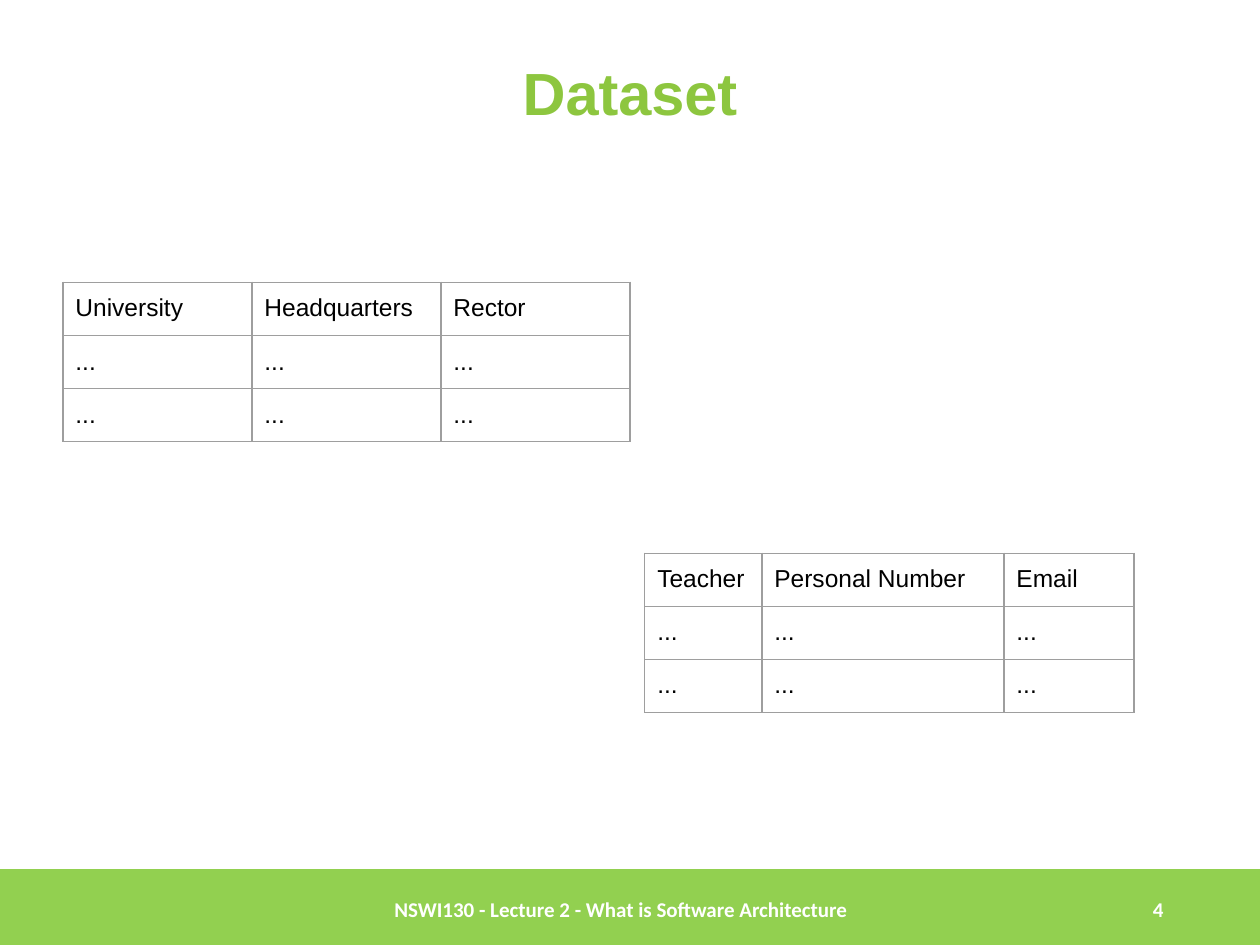
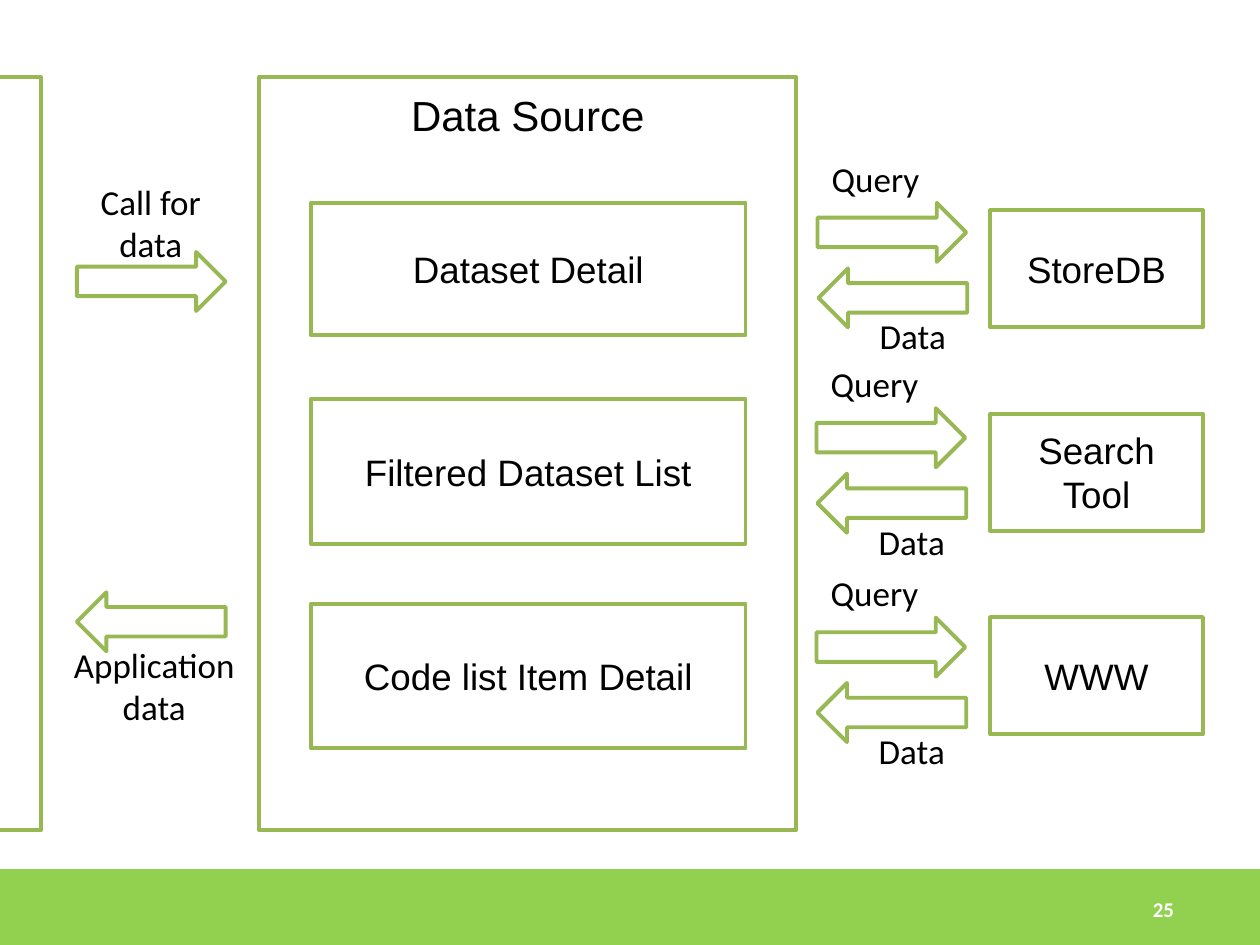
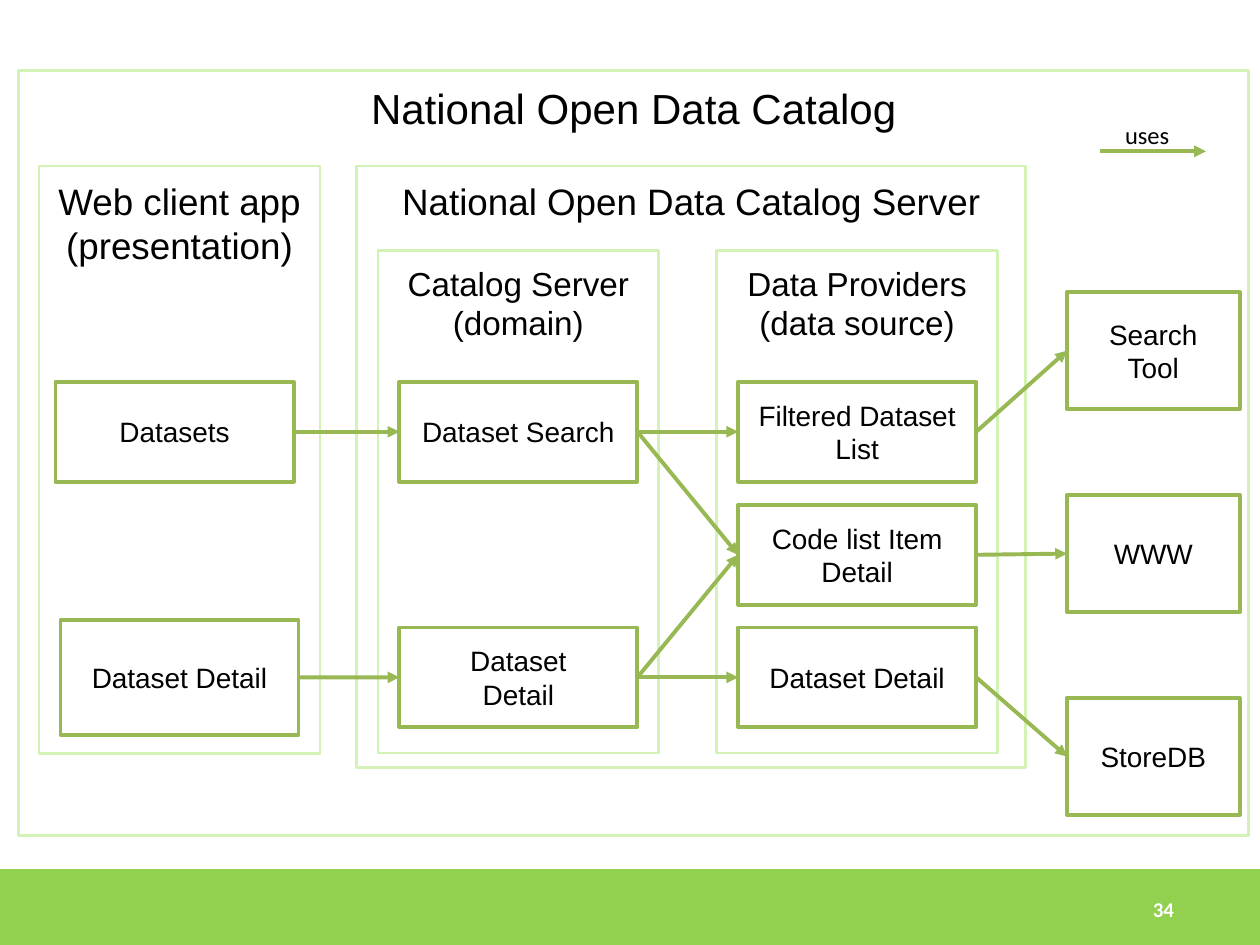
from dataclasses import dataclass

from lxml import etree
from pptx import Presentation
from pptx import util as u
from pptx.dml.color import RGBColor
from pptx.enum import shapes, text
from pptx.oxml import ns

Cm = u.Cm
Kind = shapes.MSO_SHAPE
Mid, Top = text.MSO_ANCHOR.MIDDLE, text.MSO_ANCHOR.TOP
Left, Center = text.PP_ALIGN.LEFT, text.PP_ALIGN.CENTER


@dataclass(frozen=True)
class Theme:
    band: str = "92D050"
    title: str = "8DC63F"
    edge: str = "97B853"
    pale: str = "D3F2B6"
    grid: str = "9E9E9E"
    ink: str = "000000"
    white: str = "FFFFFF"
    head: str = "Arial"
    note: str = "Calibri"
    huge: int = 34
    large: int = 24
    big: int = 21
    label: int = 20
    sub: int = 19
    node: int = 16
    small: int = 14
    foot: int = 12
    thick: float = 2.25
    thin: float = 1.5
    hair: float = 0.75
    pad: float = 0.25


class Deck:
    """Holds the theme and the slide being filled."""

    def __init__(self, theme):
        self.theme = theme
        self.prs = Presentation()
        self.prs.slide_width, self.prs.slide_height = Cm(25.4), Cm(19.05)
        self.slide = None

    def page(self, number, title=None, footer=None):
        t = self.theme
        layout = self.prs.slide_layouts[5 if title else 6]
        self.slide = self.prs.slides.add_slide(layout)
        band = self.shape(Kind.RECTANGLE, (0, 17.52, 25.4, 1.53))
        band.fill.solid()
        band.fill.fore_color.rgb = RGBColor.from_string(t.band)
        band.line.fill.background()
        if title:
            head = self.slide.shapes.title
            head.left, head.top, head.width, head.height = map(
                Cm, (1.27, 0.76, 22.86, 2.16))
            self.words(head.text_frame, title, t.huge, color=t.title,
                       bold=True, anchor=Mid)
        for words, x, wide in ((footer, 7.7, 15.29), (str(number), 22.99, 2.11)):
            if words:
                self.label((x, 17.52, wide, 1.6), words, t.foot, align=Left,
                           color=t.white, bold=True, anchor=Mid)

    def words(self, frame, words, size, font=None, color=None, bold=False,
              align=Center, anchor=Top):
        """Put styled text into a text frame."""
        t = self.theme
        frame.text = words
        frame.word_wrap = True
        frame.auto_size = text.MSO_AUTO_SIZE.NONE
        frame.vertical_anchor = anchor
        frame.margin_left = frame.margin_right = Cm(t.pad)
        frame.margin_top = frame.margin_bottom = Cm(t.pad)
        for para in frame.paragraphs:
            para.alignment = align
            self.style(para.font, size, font or t.head, color or t.ink, bold)

    def style(self, font, size, name, color, bold=False):
        font.size, font.name, font.bold = u.Pt(size), name, bold
        font.color.rgb = RGBColor.from_string(color)

    def shape(self, kind, at, edge=None, width=None):
        shape = self.slide.shapes.add_shape(kind, *map(Cm, at))
        shape.shadow.inherit = False
        shape.fill.background()
        shape.line.color.rgb = RGBColor.from_string(edge or self.theme.edge)
        shape.line.width = u.Pt(width or self.theme.thick)
        return shape

    def box(self, at, words, size):
        box = self.shape(Kind.RECTANGLE, at)
        self.words(box.text_frame, words, size, anchor=Mid)
        return box

    def panel(self, at, words, size, edge=None, width=None):
        """Draw a frame with its heading at the top."""
        panel = self.shape(Kind.RECTANGLE, at, edge, width)
        self.words(panel.text_frame, words, size)

    def label(self, at, words, size, **look):
        area = self.slide.shapes.add_textbox(*map(Cm, at))
        self.words(area.text_frame, words, size, self.theme.note, **look)

    def arrow(self, kind, x, y):
        self.shape(kind, (x, y, 3, 1.19))

    def line(self, x1=0, y1=0, x2=0, y2=0):
        line = self.slide.shapes.add_connector(
            shapes.MSO_CONNECTOR.STRAIGHT, *map(Cm, (x1, y1, x2, y2)))
        line.line.color.rgb = RGBColor.from_string(self.theme.edge)
        line.line.width = u.Pt(self.theme.thick)
        props = line._element.spPr
        etree.SubElement(props.find(ns.qn("a:ln")), ns.qn("a:tailEnd"),
                         type="triangle")
        etree.SubElement(props, ns.qn("a:effectLst"))
        return line

    def link(self, start, end):
        """Join the right side of one box to the left side of another."""
        line = self.line()
        line.begin_connect(start, 3)
        line.end_connect(end, 1)

    def table(self, x, y, widths, rows, high=1.07):
        t = self.theme
        table = self.slide.shapes.add_table(
            len(rows), len(widths), Cm(x), Cm(y),
            Cm(sum(widths)), Cm(high * len(rows))).table
        for col, wide in zip(table.columns, widths):
            col.width = Cm(wide)
        for r, row in enumerate(rows):
            table.rows[r].height = Cm(high)
            for c, words in enumerate(row):
                cell = table.cell(r, c)
                cell.text = words
                cell.margin_left = cell.margin_right = Cm(t.pad)
                cell.margin_top = cell.margin_bottom = Cm(t.pad)
                self.style(cell.text_frame.paragraphs[0].font,
                           t.small, t.head, t.ink)
                cell.fill.background()
                self.rule(cell)

    def rule(self, cell):
        """Give a table cell a border on all four sides."""
        props = cell._tc.get_or_add_tcPr()
        for spot, side in enumerate(("lnL", "lnR", "lnT", "lnB")):
            edge = etree.Element(ns.qn("a:" + side),
                                 w=str(u.Pt(self.theme.hair)))
            fill = etree.SubElement(edge, ns.qn("a:solidFill"))
            etree.SubElement(fill, ns.qn("a:srgbClr"), val=self.theme.grid)
            props.insert(spot, edge)


def dataset(deck):
    deck.page(4, "Dataset", "NSWI130 - Lecture 2 - What is Software Architecture")
    blank = [["..."] * 3] * 2
    deck.table(1.27, 5.69, (3.81, 3.81, 3.81),
               [["University", "Headquarters", "Rector"]] + blank)
    deck.table(13, 11.15, (2.36, 4.88, 2.62),
               [["Teacher", "Personal Number", "Email"]] + blank)


def source(deck):
    t = deck.theme
    deck.page(25)
    deck.panel((5.23, 1.55, 10.82, 15.19), "Data Source", t.large)
    deck.shape(Kind.RECTANGLE, (-10, 1.55, 10.82, 15.19))

    for i, name in enumerate(("StoreDB", "Search\nTool", "WWW")):
        deck.box((19.96, 4.24 + 4.1 * i, 4.29, 2.36), name, t.big)
    for name, y, high in (("Dataset Detail", 4.09, 2.67),
                          ("Filtered Dataset List", 8.05, 2.92),
                          ("Code list Item Detail", 12.17, 2.92)):
        deck.box((6.27, y, 8.76, high), name, t.big)

    for x, y in ((16.48, 4.09), (16.46, 8.23), (16.46, 12.45)):
        deck.arrow(Kind.RIGHT_ARROW, x, y)
        deck.label((x - 0.24, y - 1.17, 2.82, 1.75), "Query", t.label)
        deck.arrow(Kind.LEFT_ARROW, x + 0.02, y + 1.32)
        deck.label((x + 0.51, y + 2.01, 2.82, 1.75), "Data", t.label)

    deck.arrow(Kind.RIGHT_ARROW, 1.55, 5.08)
    deck.label((1.63, 3.38, 2.82, 1.75), "Call for data", t.label)
    deck.arrow(Kind.LEFT_ARROW, 1.55, 11.94)
    deck.label((0.86, 12.73, 4.5, 1.75), "Application\ndata", t.label)


def catalog(deck):
    t = deck.theme
    deck.page(34)
    for at, words, size in (
            ((0.38, 1.42, 24.79, 15.42), "National Open Data Catalog", t.large),
            ((7.19, 3.35, 13.49, 12.12), "National Open Data Catalog Server", t.big),
            ((0.79, 3.35, 5.66, 11.84), "Web client app\n(presentation)", t.big),
            ((7.62, 5.05, 5.66, 10.13), "Catalog Server\n(domain)", t.sub),
            ((14.45, 5.05, 5.66, 10.13), "Data Providers\n(data source)", t.sub)):
        deck.panel(at, words, size, t.pale, t.thin)

    def node(x, y, words, high=2.01):
        return deck.box((x, y, 4.8, high), words, t.node)

    upper, middle, lower = 7.7, 10.18, 12.65
    domain, data = 8.05, 14.88
    sets = node(1.12, upper, "Datasets")
    view = node(1.22, 12.5, "Dataset Detail", 2.31)
    search = node(domain, upper, "Dataset Search")
    detail = node(domain, lower, "Dataset\nDetail")
    listing = node(data, upper, "Filtered Dataset List")
    code = node(data, middle, "Code list Item Detail")
    record = node(data, lower, "Dataset Detail")
    index, web, store = [
        deck.box((21.51, 5.89 + 4.09 * i, 3.48, 2.36), name, t.node)
        for i, name in enumerate(("Search\nTool", "WWW", "StoreDB"))]

    for start, end in ((sets, search), (view, detail), (search, listing),
                       (search, code), (detail, code), (detail, record),
                       (listing, index), (code, web), (record, store)):
        deck.link(start, end)

    deck.line(22.17, 3.05, 24.31, 3.05)
    deck.label((22.43, 2.16, 1.6, 1.75), "uses", t.small, align=Left)


def main():
    deck = Deck(Theme())
    for build in (dataset, source, catalog):
        build(deck)
    deck.prs.save("out.pptx")


if __name__ == "__main__":
    main()
